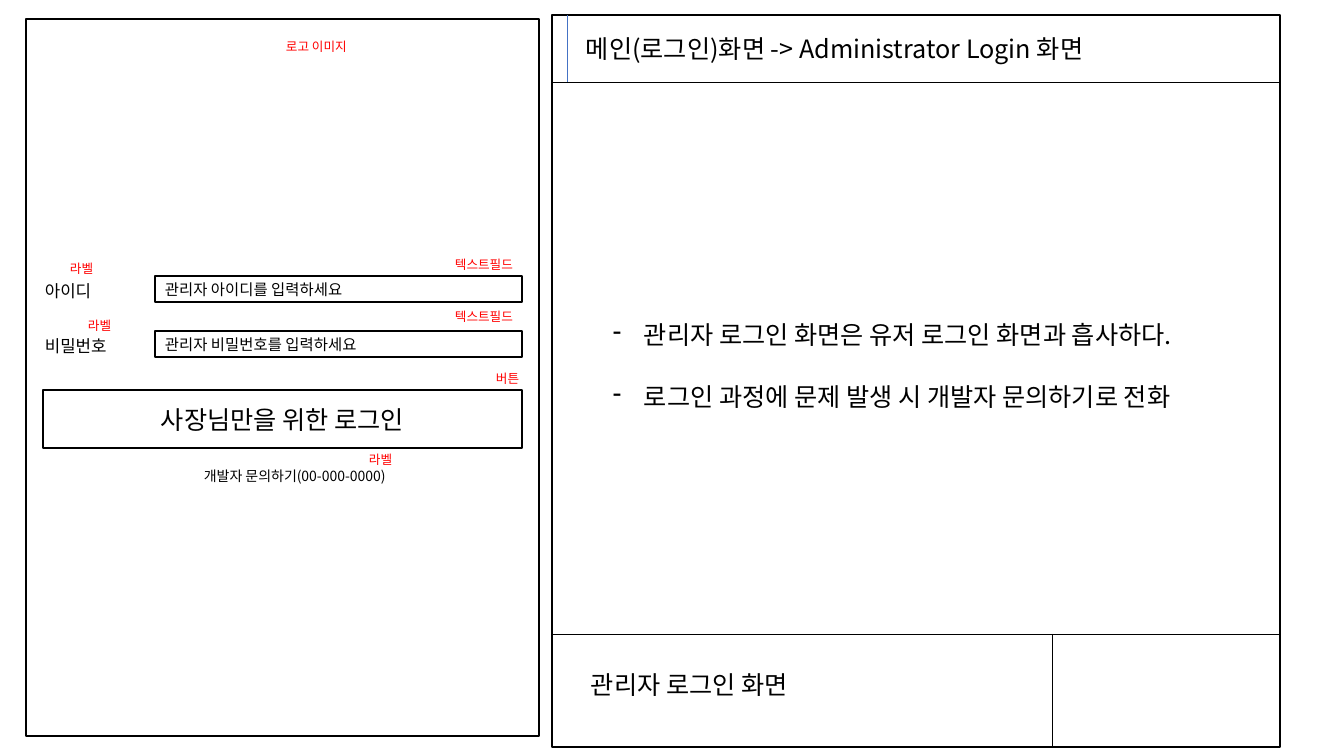
from dataclasses import dataclass

from lxml import etree
from pptx import Presentation
from pptx.dml.color import RGBColor
from pptx.enum.shapes import MSO_CONNECTOR, MSO_SHAPE
from pptx.enum.text import MSO_ANCHOR, MSO_AUTO_SIZE, PP_ALIGN
from pptx.oxml.ns import qn
from pptx.util import Emu, Pt


@dataclass(frozen=True)
class Theme:
    font: str = "Noto Sans CJK KR"
    ink: RGBColor = RGBColor(0x00, 0x00, 0x00)
    paper: RGBColor = RGBColor(0xFF, 0xFF, 0xFF)
    note: RGBColor = RGBColor(0xFF, 0x00, 0x00)
    accent: RGBColor = RGBColor(0x44, 0x72, 0xC4)
    heading: int = 18
    label: int = 12
    field: int = 11
    contact: int = 10
    tag: int = 9
    outline: float = 1
    rule: float = 0.5


THEME = Theme()

# Lengths in px: left, top, width, height
PAGE_SIZE = (1344, 756)
PANEL = (552, 15, 728, 732)
TITLE_BOTTOM, FOOTER_TOP = 82, 634
TITLE_BAR_X, FOOTER_SPLIT_X = 567, 1052
BULLET_LINE = 31
BULLET_MARGIN, BULLET_HANG = 82, 31

DESCRIPTION = [
    "관리자 로그인 화면은 유저 로그인 화면과 흡사하다.",
    "로그인 과정에 문제 발생 시 개발자 문의하기로 전화",
]
PANEL_TEXTS = [
    ("메인(로그인)화면 -> Administrator Login 화면", (576, 28, 624, 40)),
    ("관리자 로그인 화면", (581, 664, 440, 40)),
]

PHONE = (26, 19, 513, 717)
FIELD_LEFT, FIELD_WIDTH, FIELD_HEIGHT = 155, 367, 26
FIELDS = [
    ("아이디", "관리자 아이디를 입력하세요", 276),
    ("비밀번호", "관리자 비밀번호를 입력하세요", 331),
]
BUTTON = ("사장님만을 위한 로그인", (43, 390, 479, 58))
CONTACT = ("개발자 문의하기(00-000-0000)", (194, 463, 224, 27))
TAGS = [
    ("로고 이미지", 276, 34),
    ("라벨", 60, 256),
    ("텍스트필드", 445, 252),
    ("라벨", 78, 313),
    ("텍스트필드", 445, 304),
    ("버튼", 486, 366),
    ("라벨", 359, 447),
]
TAG_SIZE = (108, 25)

deck = Presentation()


def px(length):
    return Emu(round(length * 914400 / 100.8))


deck.slide_width, deck.slide_height = map(px, PAGE_SIZE)
page = deck.slides.add_slide(deck.slide_layouts[6])


def write(para, text, size, color):
    span = para.add_run()
    span.text = text
    span.font.size = Pt(size)
    span.font.name = THEME.font
    span.font.color.rgb = color
    east_asian = etree.SubElement(span.font._element, qn("a:ea"))
    east_asian.set("typeface", THEME.font)


def add_frame(area, text="", size=THEME.field, align=PP_ALIGN.LEFT):
    """Add an outlined white rectangle, with text centred in its height."""
    box = page.shapes.add_shape(MSO_SHAPE.RECTANGLE, *map(px, area))
    box.shadow.inherit = False
    box.fill.solid()
    box.fill.fore_color.rgb = THEME.paper
    box.line.color.rgb = THEME.ink
    box.line.width = Pt(THEME.outline)
    frame = box.text_frame
    frame.word_wrap = True
    frame.vertical_anchor = MSO_ANCHOR.MIDDLE
    frame.paragraphs[0].alignment = align
    if text:
        write(frame.paragraphs[0], text, size, THEME.ink)
    return frame


def add_text(area, text, size, color=THEME.ink):
    frame = page.shapes.add_textbox(*map(px, area)).text_frame
    frame.word_wrap = True
    frame.auto_size = MSO_AUTO_SIZE.SHAPE_TO_FIT_TEXT
    write(frame.paragraphs[0], text, size, color)


def add_rule(x1, y1, x2, y2, color=THEME.ink):
    rule = page.shapes.add_connector(MSO_CONNECTOR.STRAIGHT, *map(px, (x1, y1, x2, y2)))
    rule.line.color.rgb = color
    rule.line.width = Pt(THEME.rule)
    etree.SubElement(rule._element.spPr, qn("a:effectLst"))


def add_bullets(frame, lines):
    """Fill the frame with dashed items, one line apart, raised by one line."""
    frame.margin_bottom = px(BULLET_LINE + 5)
    for index, line in enumerate(lines):
        para = frame.paragraphs[0] if index == 0 else frame.add_paragraph()
        para.level = 1
        para.alignment = PP_ALIGN.LEFT
        if index:
            para.space_before = px(BULLET_LINE)
        properties = para._p.get_or_add_pPr()
        properties.set("marL", str(px(BULLET_MARGIN)))
        properties.set("indent", str(-px(BULLET_HANG)))
        etree.SubElement(properties, qn("a:buFontTx"))
        etree.SubElement(properties, qn("a:buChar")).set("char", "-")
        write(para, line, THEME.heading, THEME.ink)


left, top, width, height = PANEL
right, bottom = left + width, top + height
add_bullets(add_frame(PANEL), DESCRIPTION)
add_rule(left, TITLE_BOTTOM, right, TITLE_BOTTOM)
add_rule(TITLE_BAR_X, top, TITLE_BAR_X, TITLE_BOTTOM, THEME.accent)
add_rule(left, FOOTER_TOP, right, FOOTER_TOP)
add_rule(FOOTER_SPLIT_X, FOOTER_TOP, FOOTER_SPLIT_X, bottom)
for text, area in PANEL_TEXTS:
    add_text(area, text, THEME.heading)

add_frame(PHONE)
for label, hint, field_top in FIELDS:
    add_frame((FIELD_LEFT, field_top, FIELD_WIDTH, FIELD_HEIGHT), hint)
    add_text((35, field_top, 120, 30), label, THEME.label)
button_text, button_area = BUTTON
add_frame(button_area, button_text, THEME.heading, PP_ALIGN.CENTER)
contact_text, contact_area = CONTACT
add_text(contact_area, contact_text, THEME.contact)
for text, tag_left, tag_top in TAGS:
    add_text((tag_left, tag_top, *TAG_SIZE), text, THEME.tag, THEME.note)

deck.save("out.pptx")
